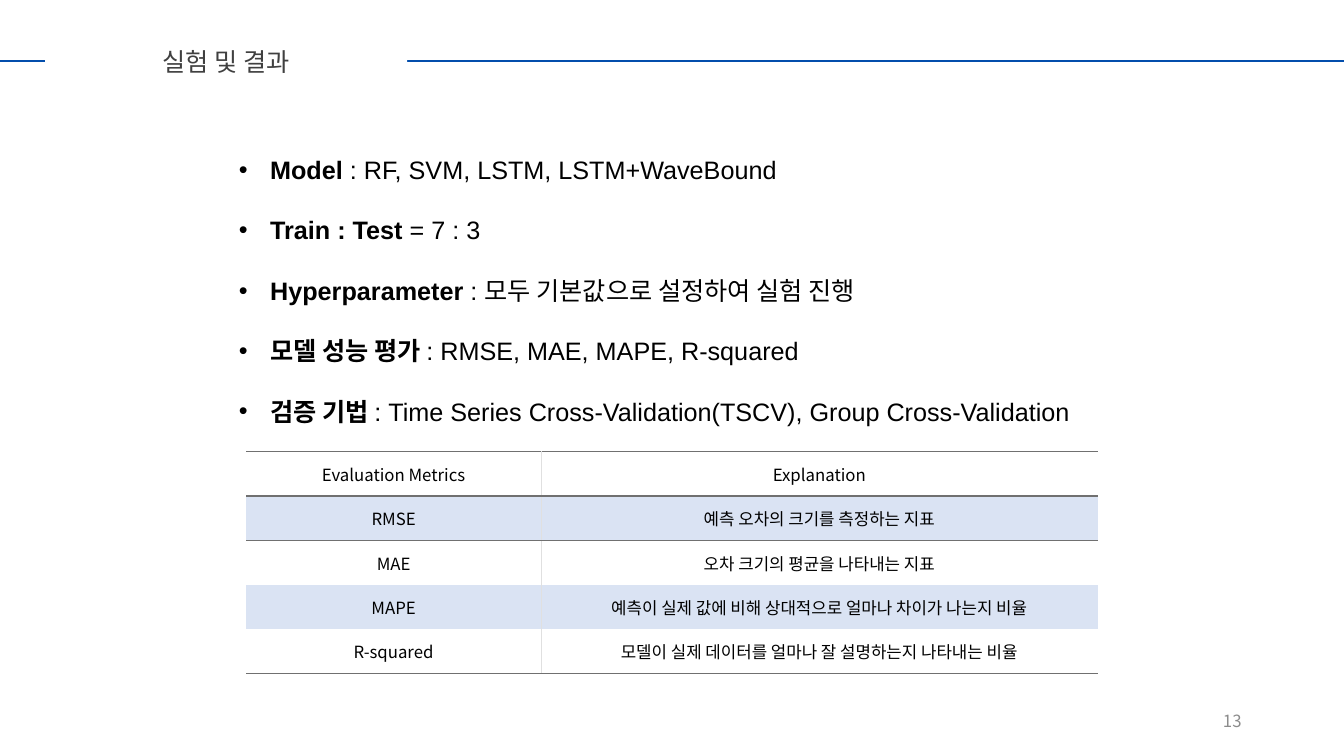
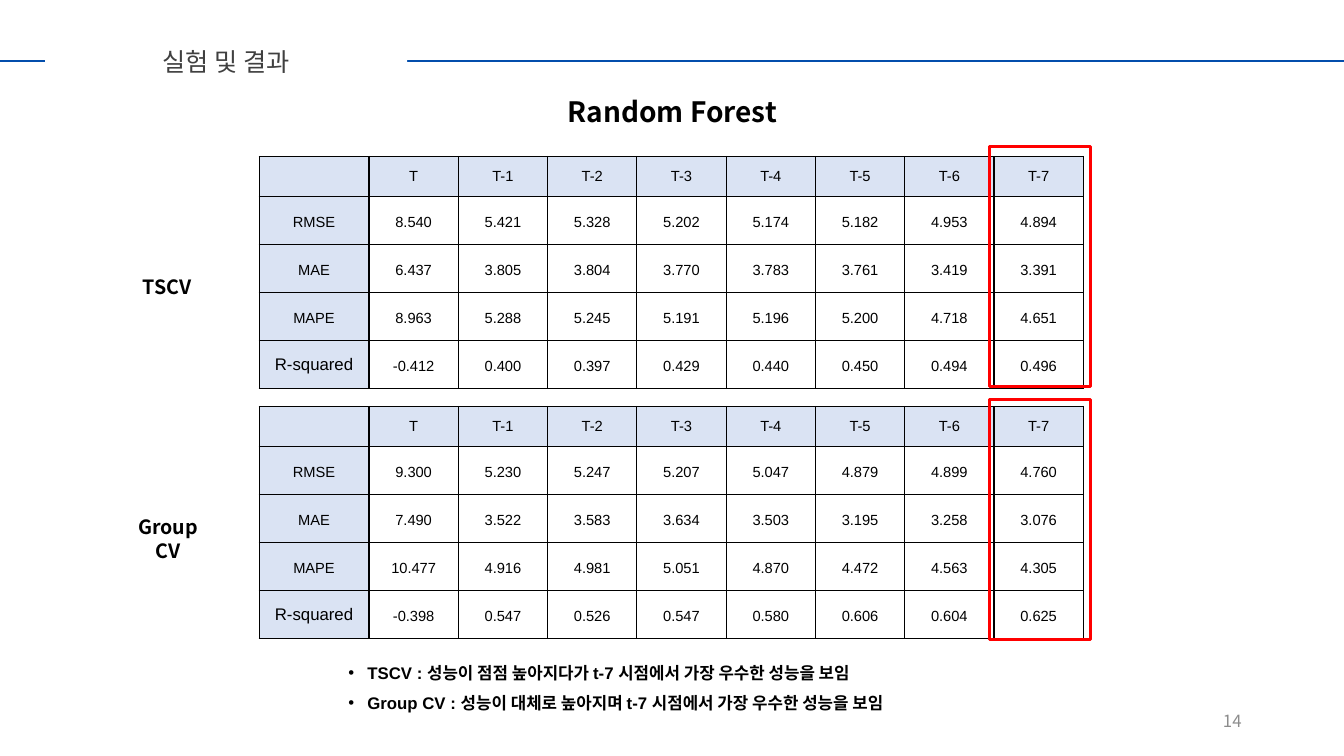
from lxml import etree
from pptx import Presentation
from pptx.dml.color import RGBColor
from pptx.enum.shapes import MSO_CONNECTOR, MSO_SHAPE
from pptx.enum.text import MSO_ANCHOR, PP_ALIGN
from pptx.oxml.ns import qn
from pptx.util import Cm, Pt

LEFT, CENTER, RIGHT = PP_ALIGN.LEFT, PP_ALIGN.CENTER, PP_ALIGN.RIGHT
TOP, MIDDLE = MSO_ANCHOR.TOP, MSO_ANCHOR.MIDDLE
RECTANGLE, STRAIGHT = MSO_SHAPE.RECTANGLE, MSO_CONNECTOR.STRAIGHT

COLORS = {
    "white": "FFFFFF", "text": "000000", "title": "404040", "number": "8C8C8C",
    "header_line": "034EAC", "rule": "707070", "divider": "E0E0E0",
    "band": "DAE3F3", "highlight": "FF0000",
}
SANS, LATIN = "Noto Sans CJK KR", "Arial"
PLAIN_TABLE = "{2D5ABB26-0587-4C30-8999-92F81FD0307C}"
WIDTH, HEIGHT = 33.87, 19.05


def rgb(name):
    return RGBColor.from_string(COLORS[name])


class Deck:
    """Holds the shared style and the slide being built."""

    def __init__(self):
        self.presentation = Presentation()
        self.presentation.slide_width = Cm(WIDTH)
        self.presentation.slide_height = Cm(HEIGHT)
        self.slide = None

    def add_slide(self, title, number):
        self.slide = self.presentation.slides.add_slide(self.presentation.slide_layouts[6])
        self.text([str(number)], 23.92, 17.65, 7.62, 1.02, 12,
                  color="number", align=RIGHT, anchor=MIDDLE)
        self.line(0, 1.54, WIDTH, 1.54, "header_line", 1.25)
        shape = self.rectangle(1.14, 1.04, 9.12, 1.02, fill="white")
        shape.text_frame.text = title
        self.format(shape.text_frame.paragraphs[0], 18, color="title", align=CENTER)

    def format(self, paragraph, size, font=SANS, color="text", bold=None, align=LEFT):
        paragraph.alignment = align
        for run in paragraph.runs:
            run.font.size = Pt(size)
            run.font.name = font
            run.font.color.rgb = rgb(color)
            if bold is not None:
                run.font.bold = bold
            east_asian = etree.SubElement(run.font._element, qn("a:ea"))
            east_asian.set("typeface", SANS)

    def text_frame(self, left, top, width, height, anchor=TOP):
        box = self.slide.shapes.add_textbox(Cm(left), Cm(top), Cm(width), Cm(height))
        box.text_frame.word_wrap = True
        box.text_frame.vertical_anchor = anchor
        return box.text_frame

    def text(self, lines, left, top, width, height, size, anchor=TOP, **style):
        frame = self.text_frame(left, top, width, height, anchor)
        frame.text = "\n".join(lines)
        for paragraph in frame.paragraphs:
            self.format(paragraph, size, **style)

    def bullets(self, items, left, top, width, height, size, spacing, margin, hanging):
        frame = self.text_frame(left, top, width, height)
        for index, (lead, rest) in enumerate(items):
            paragraph = frame.add_paragraph() if index else frame.paragraphs[0]
            paragraph.text = lead
            self.format(paragraph, size, LATIN)
            paragraph.runs[0].font.bold = True
            if rest:
                paragraph.add_run().text = rest
                self.format(paragraph, size, LATIN)
            paragraph.line_spacing = spacing
            properties = paragraph._p.get_or_add_pPr()
            properties.set("marL", str(Cm(margin)))
            properties.set("indent", str(-Cm(hanging)))
            etree.SubElement(properties, qn("a:buFont")).set("typeface", LATIN)
            etree.SubElement(properties, qn("a:buChar")).set("char", "•")

    def line(self, x1, y1, x2, y2, color, width):
        connector = self.slide.shapes.add_connector(STRAIGHT, Cm(x1), Cm(y1), Cm(x2), Cm(y2))
        connector.line.color.rgb = rgb(color)
        connector.line.width = Pt(width)
        etree.SubElement(connector._element.spPr, qn("a:effectLst"))

    def rectangle(self, left, top, width, height, fill=None, line=None, line_width=1):
        shape = self.slide.shapes.add_shape(RECTANGLE, Cm(left), Cm(top), Cm(width), Cm(height))
        shape.shadow.inherit = False
        if fill:
            shape.fill.solid()
            shape.fill.fore_color.rgb = rgb(fill)
        else:
            shape.fill.background()
        if line:
            shape.line.color.rgb = rgb(line)
            shape.line.width = Pt(line_width)
        else:
            shape.line.fill.background()
        return shape

    def table(self, rows, left, top, column_widths, row_heights):
        frame = self.slide.shapes.add_table(
            len(rows), len(rows[0]), Cm(left), Cm(top),
            Cm(sum(column_widths)), Cm(sum(row_heights)))
        table = frame.table
        table.first_row = table.horz_banding = False
        table._tbl.tblPr.find(qn("a:tableStyleId")).text = PLAIN_TABLE
        for column, width in zip(table.columns, column_widths):
            column.width = Cm(width)
        for row, height in zip(table.rows, row_heights):
            row.height = Cm(height)
        for row, values in enumerate(rows):
            for column, value in enumerate(values):
                table.cell(row, column).text = value
        return table

    def style_cell(self, cell, borders, fill, size, font=SANS, margin=None, spacing=None):
        cell.vertical_anchor = MIDDLE
        if margin is not None:
            cell.margin_left = cell.margin_right = Cm(margin)
            cell.margin_top = cell.margin_bottom = Cm(margin)
        properties = cell._tc.get_or_add_tcPr()
        for side in "LRTB":
            if side in borders:
                border = etree.SubElement(properties, qn(f"a:ln{side}"), w=str(Pt(1)))
                solid = etree.SubElement(border, qn("a:solidFill"))
                etree.SubElement(solid, qn("a:srgbClr"), val=COLORS[borders[side]])
        if fill:
            cell.fill.solid()
            cell.fill.fore_color.rgb = rgb(fill)
        else:
            cell.fill.background()
        paragraph = cell.text_frame.paragraphs[0]
        self.format(paragraph, size, font, align=CENTER)
        if spacing:
            paragraph.line_spacing = spacing

    def metric_table(self, rows, left, top):
        table = self.table(rows, left, top, [7.44, 14.02], [1.12] * len(rows))
        last = len(rows) - 1
        for row in range(len(rows)):
            for column in range(2):
                borders = {"L" if column else "R": "divider"}
                if row == 0:
                    borders["T"] = "rule"
                if row in (0, last):
                    borders["B"] = "rule"
                if row == 1:
                    borders["T"] = "rule"
                self.style_cell(table.cell(row, column), borders,
                                "band" if row % 2 else None, 12)

    def score_table(self, scores, left, top):
        header = ["", "T"] + [f"T-{lag}" for lag in range(1, 8)]
        rows = [header] + [[name] + values.split() for name, values in scores]
        table = self.table(rows, left, top, [2.77] + [2.25] * 8, [0.89] + [1.21] * 4)
        borders = dict.fromkeys("LRTB", "text")
        for row, values in enumerate(rows):
            for column, value in enumerate(values):
                large = value == "R-squared"
                self.style_cell(table.cell(row, column), borders,
                                None if row and column else "band",
                                12 if large else 10.5, LATIN,
                                margin=0.35 if row else None,
                                spacing=1.15 if row and not large else None)


def main():
    deck = Deck()
    title = "실험 및 결과"

    deck.add_slide(title, 13)
    deck.bullets([
        ("Model", " : RF, SVM, LSTM, LSTM+WaveBound"),
        ("Train : Test ", "= 7 : 3"),
        ("Hyperparameter", " : 모두 기본값으로 설정하여 실험 진행"),
        ("모델 성능 평가 ", ": RMSE, MAE, MAPE, R-squared"),
        ("검증 기법 ", ": Time Series Cross-Validation(TSCV), Group Cross-Validation"),
    ], 5.77, 3, 22.35, 7.7, 18, spacing=2, margin=0.79, hanging=0.79)
    deck.metric_table([
        ("Evaluation Metrics", "Explanation"),
        ("RMSE", "예측 오차의 크기를 측정하는 지표"),
        ("MAE", "오차 크기의 평균을 나타내는 지표"),
        ("MAPE", "예측이 실제 값에 비해 상대적으로 얼마나 차이가 나는지 비율"),
        ("R-squared", "모델이 실제 데이터를 얼마나 잘 설명하는지 나타내는 비율"),
    ], 6.2, 11.38)

    deck.add_slide(title, 14)
    deck.score_table([
        ("RMSE", "8.540 5.421 5.328 5.202 5.174 5.182 4.953 4.894"),
        ("MAE", "6.437 3.805 3.804 3.770 3.783 3.761 3.419 3.391"),
        ("MAPE", "8.963 5.288 5.245 5.191 5.196 5.200 4.718 4.651"),
        ("R-squared", "-0.412 0.400 0.397 0.429 0.440 0.450 0.494 0.496"),
    ], 6.53, 3.94)
    deck.score_table([
        ("RMSE", "9.300 5.230 5.247 5.207 5.047 4.879 4.899 4.760"),
        ("MAE", "7.490 3.522 3.583 3.634 3.503 3.195 3.258 3.076"),
        ("MAPE", "10.477 4.916 4.981 5.051 4.870 4.472 4.563 4.305"),
        ("R-squared", "-0.398 0.547 0.526 0.547 0.580 0.606 0.604 0.625"),
    ], 6.53, 10.24)
    deck.bullets([
        ("TSCV : 성능이 점점 높아지다가 t-7 시점에서 가장 우수한 성능을 보임", ""),
        ("Group CV : 성능이 대체로 높아지며 t-7 시점에서 가장 우수한 성능을 보임", ""),
    ], 7.26, 16.31, 19.33, 1.7, 12, spacing=1.5, margin=1.75, hanging=0.48)
    for top in (3.7, 10.06):
        deck.rectangle(24.94, top, 2.54, 6.05, line="highlight", line_width=2.25)
    for lines, left, top, width, height, size in (
        (["TSCV"], 2.74, 6.81, 2.95, 0.86, 14),
        (["Group", "CV"], 2.62, 12.85, 3.23, 1.45, 14),
        (["Random Forest"], 13.72, 2.26, 6.45, 1.12, 20),
    ):
        deck.text(lines, left, top, width, height, size, bold=True, align=CENTER)

    deck.presentation.save("out.pptx")


if __name__ == "__main__":
    main()
